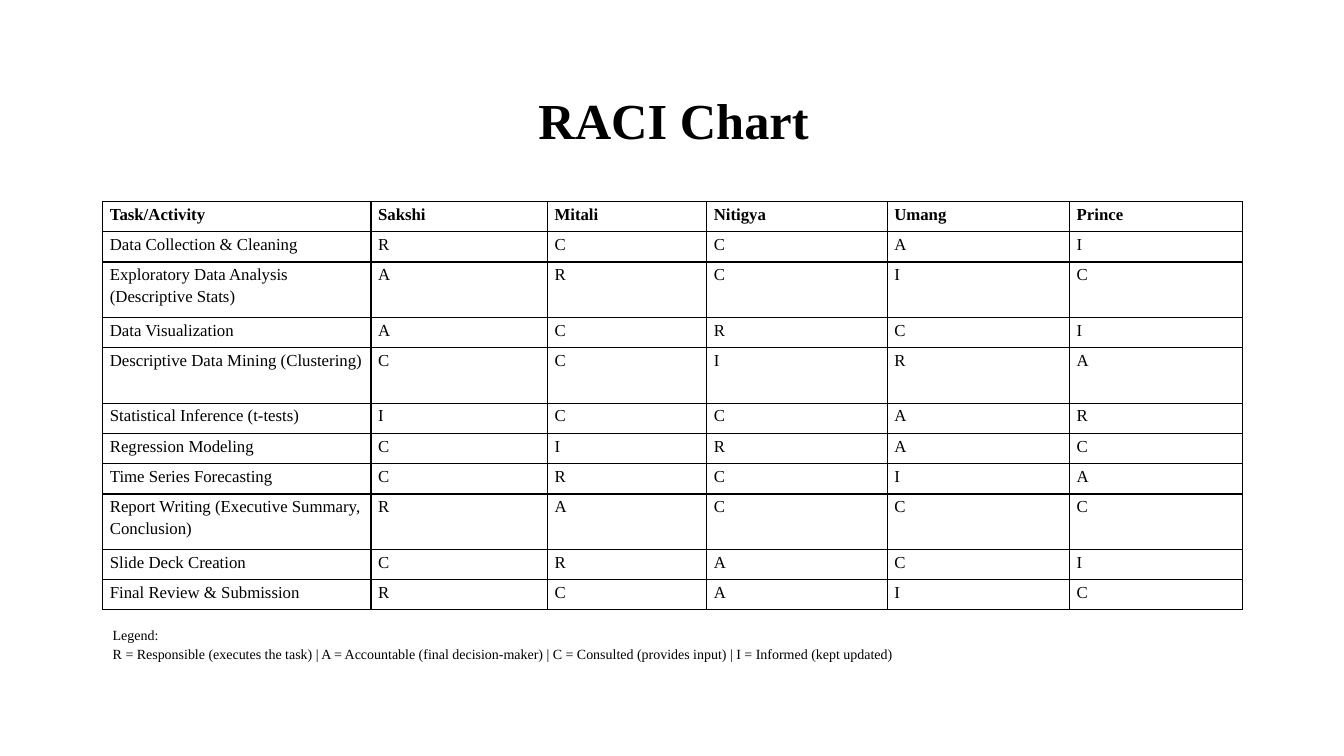
from dataclasses import dataclass

from lxml import etree
from pptx import Presentation
from pptx.dml.color import RGBColor
from pptx.enum.text import MSO_ANCHOR, MSO_AUTO_SIZE, PP_ALIGN
from pptx.oxml.ns import qn
from pptx.util import Emu, Pt

PX = 9144  # EMU in one px, 100 px to the inch
FONT = "Times New Roman"
BLACK = RGBColor(0, 0, 0)
LEFT, CENTER, JUSTIFY = PP_ALIGN.LEFT, PP_ALIGN.CENTER, PP_ALIGN.JUSTIFY
TOP, MIDDLE = MSO_ANCHOR.TOP, MSO_ANCHOR.MIDDLE
GROW = MSO_AUTO_SIZE.SHAPE_TO_FIT_TEXT


def px(count: int) -> Emu:
    return Emu(count * PX)


@dataclass(frozen=True)
class Style:
    size: int
    bold: bool = False
    align: PP_ALIGN = LEFT
    space: float = 1.15


@dataclass(frozen=True)
class Box:
    left: int
    top: int
    width: int
    height: int
    lines: tuple[str, ...]
    style: Style
    anchor: MSO_ANCHOR = TOP
    grow: bool = False


@dataclass(frozen=True)
class Task:
    name: str
    roles: str  # one letter for each person
    tall: bool = False


HEAD = Style(12, bold=True)
BODY = Style(12)
BOXES = [
    Box(167, 60, 1002, 124, ("RACI Chart",),
        Style(36, True, CENTER, 0.9), anchor=MIDDLE),
    Box(102, 614, 1130, 47, (
        "Legend:",
        "R = Responsible (executes the task) | A = Accountable (final decision-maker)"
        " | C = Consulted (provides input) | I = Informed (kept updated)",
    ), Style(10, align=JUSTIFY), grow=True),
]
TITLES = ["Task/Activity", "Sakshi", "Mitali", "Nitigya", "Umang", "Prince"]
WIDTHS = [266, 175, 158, 179, 181, 171]
LOW, TALL = 30, 55
TASKS = [
    Task("Data Collection & Cleaning", "RCCAI"),
    Task("Exploratory Data Analysis (Descriptive Stats)", "ARCIC", tall=True),
    Task("Data Visualization", "ACRCI"),
    Task("Descriptive Data Mining (Clustering)", "CCIRA", tall=True),
    Task("Statistical Inference (t-tests)", "ICCAR"),
    Task("Regression Modeling", "CIRAC"),
    Task("Time Series Forecasting", "CRCIA"),
    Task("Report Writing (Executive Summary, Conclusion)", "RACCC", tall=True),
    Task("Slide Deck Creation", "CRACI"),
    Task("Final Review & Submission", "RCAIC"),
]


def write(frame, lines: tuple[str, ...], style: Style) -> None:
    for index, line in enumerate(lines):
        para = frame.add_paragraph() if index else frame.paragraphs[0]
        para.alignment = style.align
        para.line_spacing = style.space
        run = para.add_run()
        run.text = line
        font = run.font
        font.name, font.size, font.bold = FONT, Pt(style.size), style.bold
        font.color.rgb = BLACK


def add_box(slide, box: Box) -> None:
    shape = slide.shapes.add_textbox(
        px(box.left), px(box.top), px(box.width), px(box.height))
    frame = shape.text_frame
    frame.word_wrap = True
    frame.vertical_anchor = box.anchor
    if box.grow:
        frame.auto_size = GROW
    write(frame, box.lines, box.style)


def add_rules(cell) -> None:
    """Draw a thin black border on all four sides of a cell."""
    props = cell._tc.get_or_add_tcPr()
    for side in ("lnL", "lnR", "lnT", "lnB"):
        line = etree.SubElement(props, qn(f"a:{side}"), w=str(Pt(1)))
        fill = etree.SubElement(line, qn("a:solidFill"))
        etree.SubElement(fill, qn("a:srgbClr"), val=str(BLACK))


def fill_cell(cell, text: str, style: Style) -> None:
    cell.margin_left = cell.margin_right = px(7)
    cell.margin_top, cell.margin_bottom = px(1), px(0)
    add_rules(cell)
    cell.fill.background()
    write(cell.text_frame, (text,), style)


def add_grid(slide, left: int, top: int) -> None:
    heights = [LOW] + [TALL if task.tall else LOW for task in TASKS]
    rows = [TITLES] + [[task.name, *task.roles] for task in TASKS]
    table = slide.shapes.add_table(
        len(rows), len(WIDTHS), px(left), px(top),
        px(sum(WIDTHS)), px(sum(heights))).table
    table.first_row = table.horz_banding = False
    for column, width in zip(table.columns, WIDTHS):
        column.width = px(width)
    for index, (row, height) in enumerate(zip(table.rows, heights)):
        row.height = px(height)
        for cell, text in zip(row.cells, rows[index]):
            fill_cell(cell, text, BODY if index else HEAD)


def main() -> None:
    deck = Presentation()
    deck.slide_width, deck.slide_height = px(1333), px(750)
    slide = deck.slides.add_slide(deck.slide_layouts[6])
    title, legend = BOXES
    add_box(slide, title)
    add_grid(slide, 102, 200)
    add_box(slide, legend)
    deck.save("out.pptx")


if __name__ == "__main__":
    main()
